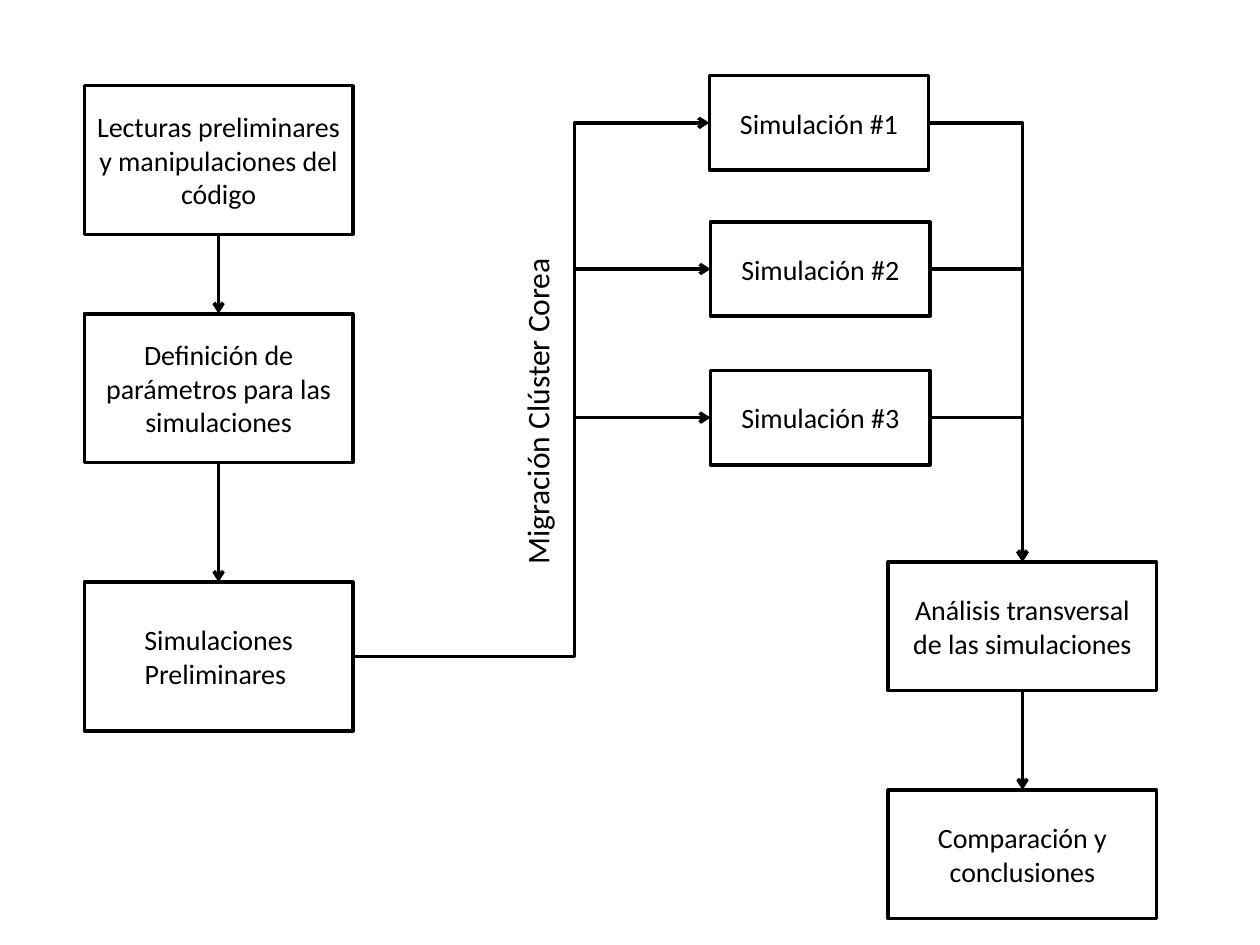
"""Build a flowchart of the simulation workflow."""
from lxml.etree import SubElement
from pptx import Presentation
from pptx.dml.color import RGBColor
from pptx.enum.shapes import MSO_CONNECTOR, MSO_SHAPE
from pptx.enum.text import MSO_ANCHOR, MSO_AUTO_SIZE, PP_ALIGN
from pptx.oxml.ns import qn
from pptx.util import Inches, Pt


def color(hex_value):
    return RGBColor.from_string(hex_value)


def connect(kind, source, source_side, target, target_side):
    link = slide.shapes.add_connector(kind, 0, 0, 0, 0)
    link.begin_connect(source, source_side)
    link.end_connect(target, target_side)
    link.line.color.rgb = color("000000")
    link.line.width = Pt(2)
    SubElement(link.line._get_or_add_ln(), qn("a:tailEnd"), type="arrow")
    SubElement(link._element.spPr, qn("a:effectLst"))
    return link


TOP, LEFT, BOTTOM, RIGHT = range(4)
BRANCH_X = 4.56

prs = Presentation()
prs.slide_width, prs.slide_height = Inches(10), Inches(7.5)
slide = prs.slides.add_slide(prs.slide_layouts[6])

steps = [
    ("Lecturas preliminares y manipulaciones del código", 0.67, 0.68, 2.13, 1.18),
    ("Definición de parámetros para las simulaciones", 0.67, 2.49, 2.13, 1.18),
    ("Simulaciones Preliminares ", 0.67, 4.62, 2.13, 1.18),
    ("Simulación #1", 5.63, 0.6, 1.74, 0.75),
    ("Simulación #2", 5.64, 1.76, 1.74, 0.75),
    ("Simulación #3", 5.64, 2.94, 1.74, 0.75),
    ("Análisis transversal de las simulaciones", 7.05, 4.46, 2.13, 1.02),
    ("Comparación y conclusiones", 7.05, 6.27, 2.13, 1.02),
]
boxes = []
for wording, *bounds in steps:
    box = slide.shapes.add_shape(MSO_SHAPE.ROUNDED_RECTANGLE, *map(Inches, bounds))
    box.adjustments[0] = 0
    box.shadow.inherit = False
    box.fill.solid()
    box.fill.fore_color.rgb = color("FFFFFF")
    box.line.color.rgb = color("000000")
    box.line.width = Pt(2)
    box.text_frame.text = wording
    box.text_frame.word_wrap = True
    box.text_frame.vertical_anchor = MSO_ANCHOR.MIDDLE
    paragraph = box.text_frame.paragraphs[0]
    paragraph.alignment = PP_ALIGN.CENTER
    font = paragraph.runs[0].font
    font.name, font.size = "Calibri", Pt(16)
    font.color.rgb = color("000000")
    boxes.append(box)

readings, parameters, preliminary, *simulations, analysis, conclusions = boxes

for upper, lower in [(readings, parameters), (parameters, preliminary), (analysis, conclusions)]:
    connect(MSO_CONNECTOR.STRAIGHT, upper, BOTTOM, lower, TOP)

for simulation in simulations:
    branch = connect(MSO_CONNECTOR.ELBOW, preliminary, RIGHT, simulation, LEFT)
    bend = (Inches(BRANCH_X) - branch.begin_x) / (branch.end_x - branch.begin_x)
    guides = branch._element.spPr.prstGeom.get_or_add_avLst()
    SubElement(guides, qn("a:gd"), name="adj1", fmla=f"val {round(bend * 100000)}")

    merge = connect(MSO_CONNECTOR.ELBOW, simulation, RIGHT, analysis, TOP)
    merge._element.spPr.prstGeom.set("prst", "bentConnector2")

migration = slide.shapes.add_textbox(Inches(4.06), Inches(2.02), Inches(0.5), Inches(2.56))
migration.rotation = 180
migration.text_frame.text = "Migración Clúster Corea"
migration.text_frame.word_wrap = False
migration.text_frame.auto_size = MSO_AUTO_SIZE.SHAPE_TO_FIT_TEXT
migration.text_frame._txBody.bodyPr.set("vert", "vert")
font = migration.text_frame.paragraphs[0].runs[0].font
font.name, font.size = "Calibri", Pt(18)
font.color.rgb = color("000000")

prs.save("out.pptx")
